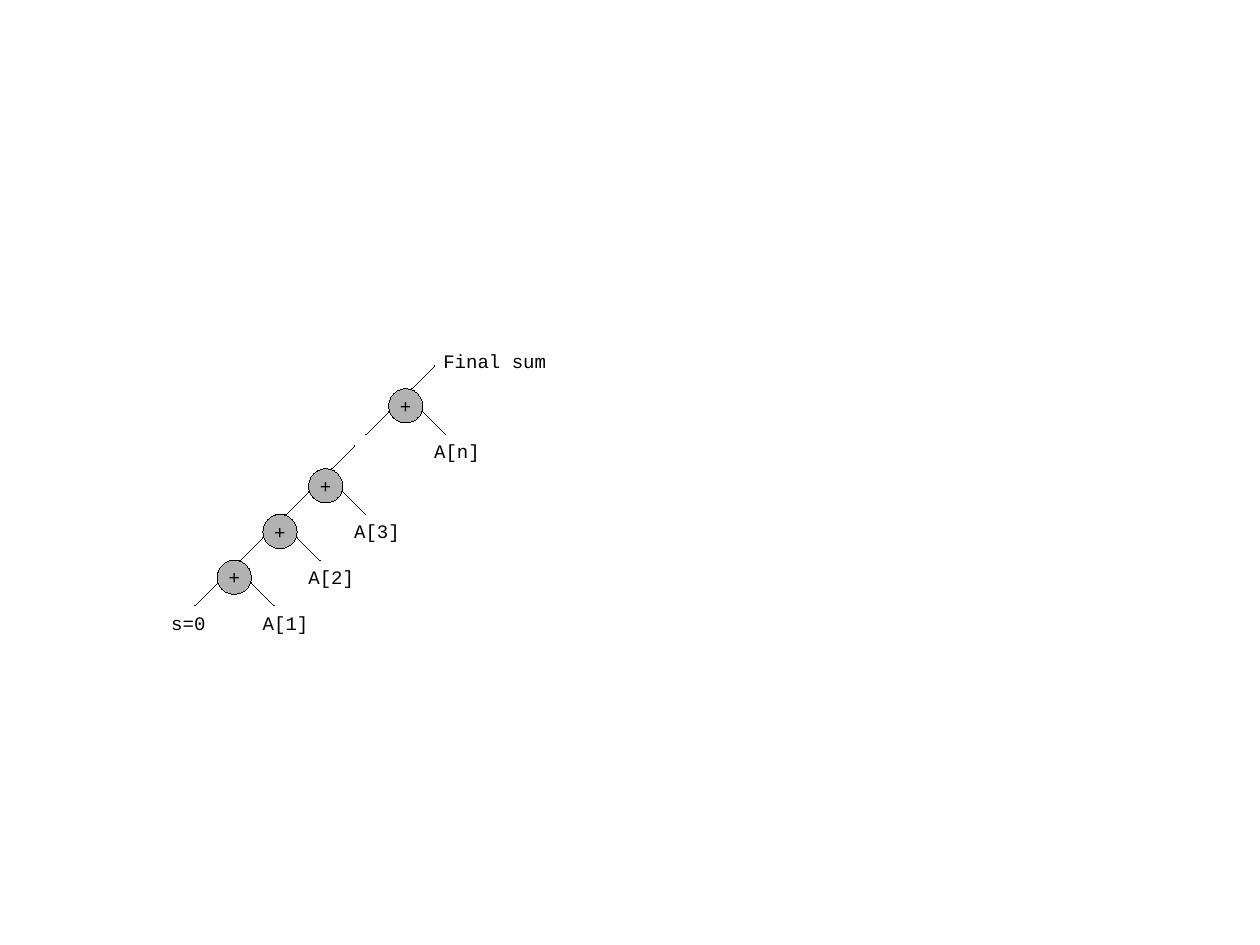
import pptx
import pptx.util
import pptx.dml.color
import pptx.enum.shapes
import pptx.enum.text
import pptx.oxml.ns
from lxml import etree
from pptx.util import Inches

FONT = "Courier New"
BLACK = "000000"
GREY = "B2B2B2"
DIAMETER = 0.3
STEP = 0.2
CM_PER_INCH = 2.54


def color(hex_value):
    return pptx.dml.color.RGBColor.from_string(hex_value)


def write(sp, text, align):
    tf = sp.text_frame
    tf.word_wrap = False
    p = tf.paragraphs[0]
    p.text = text
    p.alignment = align
    p.font.name = FONT
    p.font.size = pptx.util.Pt(12)
    p.font.color.rgb = color(BLACK)
    return tf


prs = pptx.Presentation()
prs.slide_width = Inches(28 / CM_PER_INCH)
prs.slide_height = Inches(21 / CM_PER_INCH)
s = prs.slides.add_slide(prs.slide_layouts[6])

# Left and top of each adder, its operand, other labels, and whether a line leaves upwards
adders = [
    (1.9, 4.9, "A[1]", [("s=0", 1.4, 5.3)], False),
    (2.3, 4.5, "A[2]", [], False),
    (2.7, 4.1, "A[3]", [], True),
    (3.4, 3.4, "A[n]", [("Final sum", 3.78, 3.01)], True),
]

for x, y, operand, extra_labels, has_output in adders:
    group = s.shapes.add_group_shape()

    sp = group.shapes.add_shape(
        pptx.enum.shapes.MSO_SHAPE.OVAL,
        Inches(x), Inches(y), Inches(DIAMETER), Inches(DIAMETER))
    sp.shadow.inherit = False
    sp.fill.solid()
    sp.fill.fore_color.rgb = color(GREY)
    tf = write(sp, "+", pptx.enum.text.PP_ALIGN.CENTER)
    tf.vertical_anchor = pptx.enum.text.MSO_ANCHOR.MIDDLE
    outlined = [sp]

    right = x + DIAMETER
    for text, left, top in [(operand, right, y + 0.4)] + extra_labels:
        box = group.shapes.add_textbox(
            Inches(left), Inches(top), Inches(0.1 * len(text) + 0.2), Inches(0.3))
        write(box, text, pptx.enum.text.PP_ALIGN.LEFT)

    branches = [
        (x - STEP, y + 2 * STEP, x, y + STEP),
        (right, y + STEP, right + STEP, y + 2 * STEP),
    ]
    if has_output:
        branches.append((x + STEP, y, x + 2 * STEP, y - STEP))
    for x1, y1, x2, y2 in branches:
        line = group.shapes.add_connector(
            pptx.enum.shapes.MSO_CONNECTOR.STRAIGHT,
            Inches(x1), Inches(y1), Inches(x2), Inches(y2))
        line.line.color.rgb = color(BLACK)
        etree.SubElement(line._element.spPr, pptx.oxml.ns.qn("a:effectLst"))
        outlined.append(line)

    # python-pptx leaves out a width of zero, so the hairline is set in the XML
    for shape in outlined:
        shape.line.color.rgb = color(BLACK)
        shape.line._get_or_add_ln().set("w", "0")

prs.save("out.pptx")
